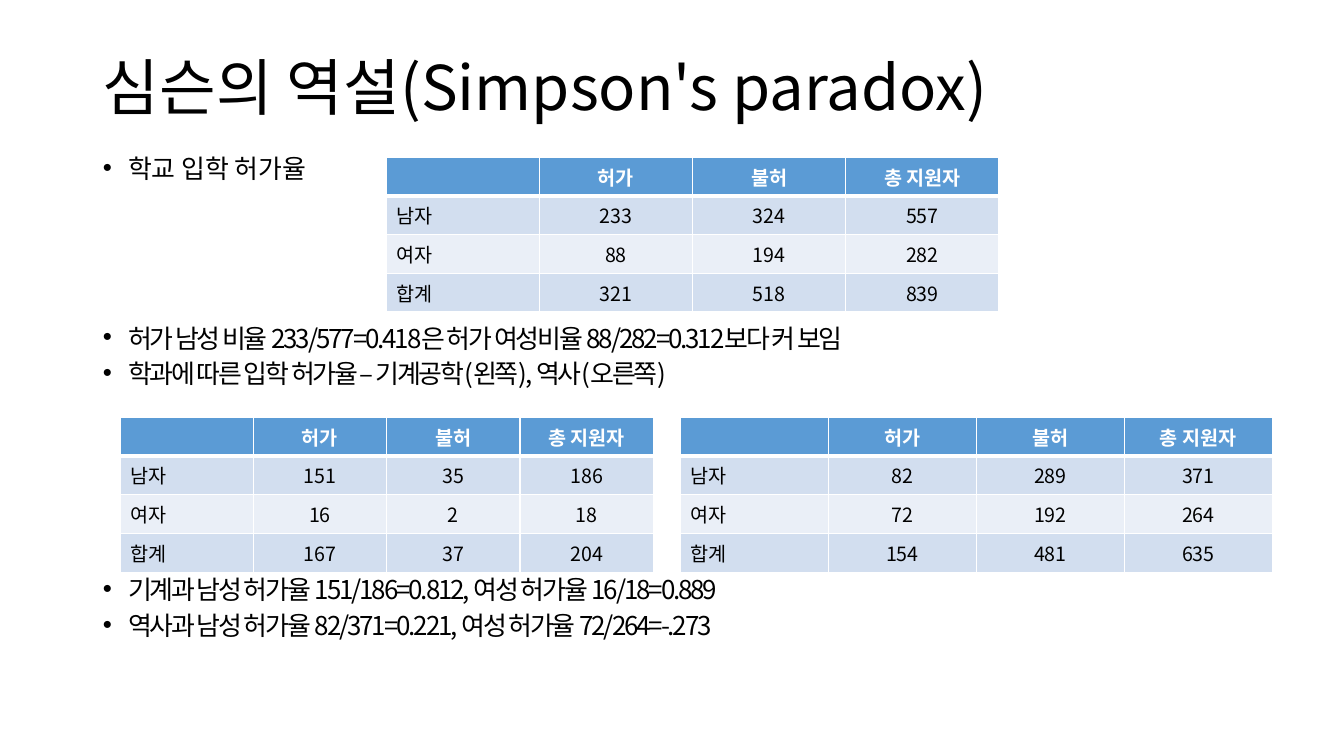
from dataclasses import dataclass

from lxml.etree import SubElement
from pptx import Presentation
from pptx.dml.color import RGBColor
from pptx.enum.text import MSO_ANCHOR, MSO_AUTO_SIZE, PP_ALIGN
from pptx.oxml.ns import qn
from pptx.util import Inches, Pt


@dataclass(frozen=True)
class Theme:
    font: str = "Noto Sans CJK KR"
    ink: str = "000000"
    white: str = "FFFFFF"
    head: str = "5B9BD5"
    odd: str = "D2DEEF"
    even: str = "EAEFF7"
    title: float = 44
    body: float = 18.5
    cell: float = 14


@dataclass(frozen=True)
class Bullet:
    text: str
    before: float
    track: int = -150


@dataclass(frozen=True)
class Grid:
    left: float
    top: float
    width: float
    men: tuple[int, int, int]
    women: tuple[int, int, int]
    total: tuple[int, int, int]


THEME = Theme()
ROW = 0.38
HEADS = ("", "허가", "불허", "총 지원자")
BULLETS = (
    Bullet("학교 입학 허가율", 0, 0),
    Bullet("허가 남성 비율 233/577=0.418은 허가 여성비율 88/282=0.312보다 커 보임", 105.5),
    Bullet("학과에 따른 입학 허가율 – 기계공학(왼쪽), 역사(오른쪽)", 10),
    Bullet("기계과 남성 허가율 151/186=0.812, 여성 허가율 16/18=0.889", 138.5),
    Bullet("역사과 남성 허가율 82/371=0.221, 여성 허가율 72/264=-.273", 10),
)
GRIDS = (
    Grid(3.83, 1.56, 6.08, (233, 324, 557), (88, 194, 282), (321, 518, 839)),
    Grid(1.19, 4.14, 5.29, (151, 35, 186), (16, 2, 18), (167, 37, 204)),
    Grid(6.75, 4.14, 5.87, (82, 289, 371), (72, 192, 264), (154, 481, 635)),
)


def write(para, text: str, size: float, color: str = THEME.ink,
          bold: bool = False, track: int = 0) -> None:
    run = para.add_run()
    run.text = text
    font = run.font
    font.size = Pt(size)
    font.bold = bold
    font.color.rgb = RGBColor.from_string(color)
    font.name = THEME.font
    props = run._r.get_or_add_rPr()
    SubElement(props, qn("a:ea"), typeface=THEME.font)
    if track:
        props.set("spc", str(track))


def place(shape, top: float, height: float, anchor: MSO_ANCHOR):
    shape.left, shape.top = Inches(0.92), Inches(top)
    shape.width, shape.height = Inches(11.5), Inches(height)
    frame = shape.text_frame
    frame.word_wrap = True
    frame.auto_size = MSO_AUTO_SIZE.NONE
    frame.vertical_anchor = anchor
    return frame


def draw_title(shape) -> None:
    para = place(shape, 0.4, 1, MSO_ANCHOR.MIDDLE).paragraphs[0]
    para.alignment = PP_ALIGN.LEFT
    para.line_spacing = 0.9
    write(para, "심슨의 역설(Simpson's paradox)", THEME.title)


def draw_list(shape) -> None:
    frame = place(shape, 1.55, 5.21, MSO_ANCHOR.TOP)
    for pos, item in enumerate(BULLETS):
        para = frame.add_paragraph() if pos else frame.paragraphs[0]
        para.line_spacing = 0.7
        para.space_before = Pt(item.before)
        props = para._p.get_or_add_pPr()
        props.set("marL", str(Inches(0.25)))
        props.set("indent", str(-Inches(0.25)))
        write(para, item.text, THEME.body, track=item.track)


def edge(cell, head: bool) -> None:
    props = cell._tc.get_or_add_tcPr()
    for pos, side in enumerate(("lnL", "lnR", "lnT", "lnB")):
        width = 3 if head and side == "lnB" else 1
        line = props.makeelement(qn(f"a:{side}"), {"w": str(Pt(width))})
        fill = SubElement(line, qn("a:solidFill"))
        SubElement(fill, qn("a:srgbClr"), val=THEME.white)
        props.insert(pos, line)


def draw_grid(slide, grid: Grid) -> None:
    rows = (HEADS, ("남자", *grid.men), ("여자", *grid.women), ("합계", *grid.total))
    table = slide.shapes.add_table(
        len(rows), len(HEADS), Inches(grid.left), Inches(grid.top),
        Inches(grid.width), Inches(ROW * len(rows))).table
    for row, values in enumerate(rows):
        head = row == 0
        tint = THEME.head if head else THEME.odd if row % 2 else THEME.even
        for col, value in enumerate(values):
            cell = table.cell(row, col)
            cell.fill.solid()
            cell.fill.fore_color.rgb = RGBColor.from_string(tint)
            edge(cell, head)
            para = cell.text_frame.paragraphs[0]
            para.alignment = PP_ALIGN.CENTER if col else PP_ALIGN.LEFT
            if value == "":
                SubElement(para._p, qn("a:endParaRPr"), sz=str(THEME.cell * 100))
            else:
                write(para, str(value), THEME.cell,
                      THEME.white if head else THEME.ink, head)


def main() -> None:
    deck = Presentation()
    deck.slide_width, deck.slide_height = Inches(13.33), Inches(7.5)
    slide = deck.slides.add_slide(deck.slide_layouts[1])
    draw_title(slide.shapes.title)
    draw_list(slide.placeholders[1])
    for grid in GRIDS:
        draw_grid(slide, grid)
    deck.save("out.pptx")


if __name__ == "__main__":
    main()
